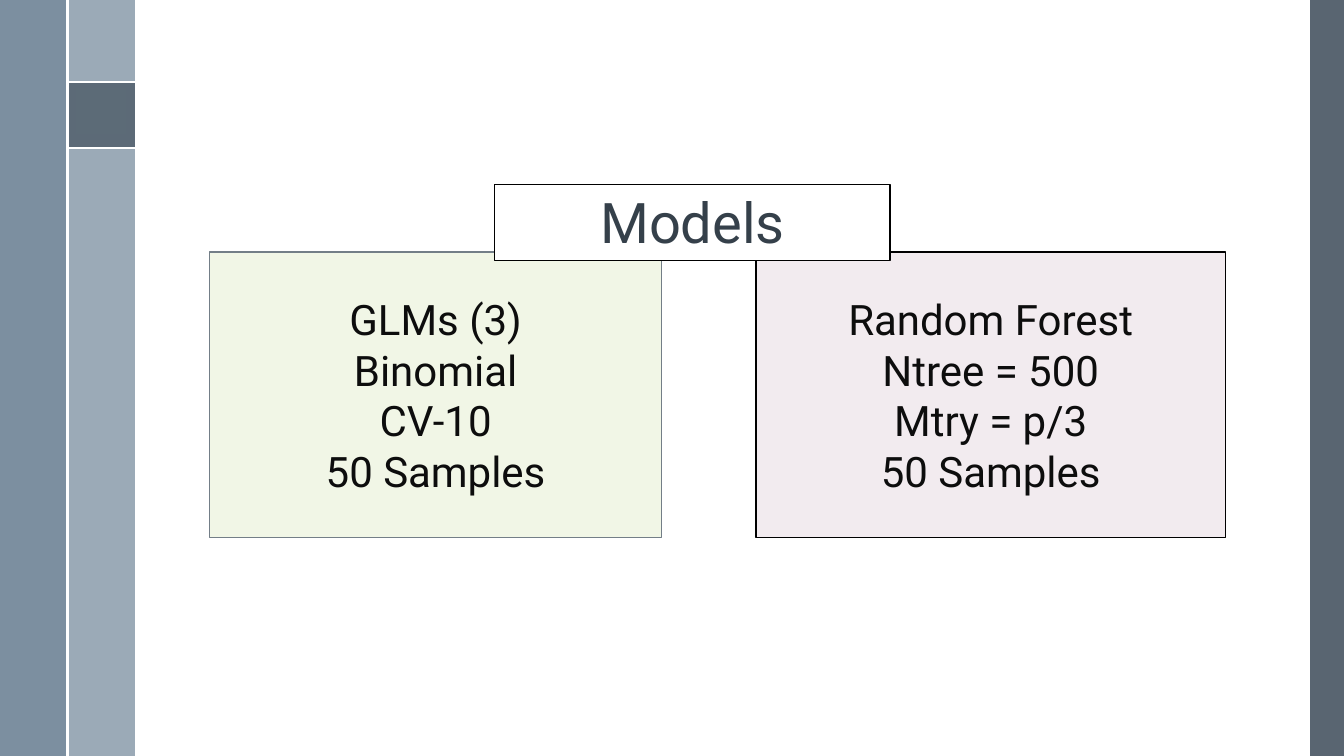
from dataclasses import dataclass

from lxml import etree
from pptx import Presentation
from pptx.dml.color import RGBColor
from pptx.enum.dml import MSO_FILL
from pptx.enum.shapes import MSO_CONNECTOR, MSO_SHAPE
from pptx.enum.text import MSO_ANCHOR, MSO_AUTO_SIZE, PP_ALIGN
from pptx.oxml.ns import qn
from pptx.util import Cm, Pt

RECTANGLE = MSO_SHAPE.RECTANGLE
STRAIGHT = MSO_CONNECTOR.STRAIGHT
SOLID = MSO_FILL.SOLID
MIDDLE, BOTTOM = MSO_ANCHOR.MIDDLE, MSO_ANCHOR.BOTTOM
CENTER = PP_ALIGN.CENTER
NO_AUTOFIT = MSO_AUTO_SIZE.NONE

WHITE = RGBColor(0xFF, 0xFF, 0xFF)
BLACK = RGBColor(0x00, 0x00, 0x00)
SLATE = RGBColor(0x47, 0x55, 0x62)
STEEL = RGBColor(0x6A, 0x80, 0x93)
MIST = RGBColor(0x9B, 0xAA, 0xB7)
MARKER_GRAY = RGBColor(0x5C, 0x6B, 0x77)
BORDER_GRAY = RGBColor(0x73, 0x7E, 0x87)
PALE_GREEN = RGBColor(0xF1, 0xF6, 0xE6)
PALE_PINK = RGBColor(0xF2, 0xEB, 0xEF)
BODY_INK = RGBColor(0x0D, 0x0D, 0x0D)
TITLE_INK = RGBColor(0x35, 0x40, 0x4A)

FONT = "Roboto"
PAGE_WIDTH, PAGE_HEIGHT = 33.87, 19.05
BAND = 1.7
MARKER_TOP, MARKER_BOTTOM = 2.06, 3.74
RIGHT_BAND_LEFT = 33.02
CARD_TOP, CARD_HEIGHT = 6.35, 7.19


@dataclass(frozen=True)
class Panel:
    left: float
    top: float
    width: float
    height: float
    color: RGBColor
    opacity: int = 100


@dataclass(frozen=True)
class Rule:
    start: tuple[float, float]
    end: tuple[float, float]


@dataclass(frozen=True)
class ModelCard:
    left: float
    width: float
    color: RGBColor
    border: RGBColor
    lines: tuple[str, ...]


PANELS = (
    Panel(RIGHT_BAND_LEFT, 0, PAGE_WIDTH - RIGHT_BAND_LEFT, PAGE_HEIGHT, SLATE, 90),
    Panel(BAND, 0, BAND, PAGE_HEIGHT, MIST),
    Panel(0, 0, BAND, PAGE_HEIGHT, STEEL, 88),
    Panel(BAND, MARKER_TOP, BAND, MARKER_BOTTOM - MARKER_TOP, SLATE, 75),
)
RULES = (
    Rule((BAND, MARKER_TOP), (2 * BAND, MARKER_TOP)),
    Rule((BAND, MARKER_BOTTOM), (2 * BAND, MARKER_BOTTOM)),
    Rule((BAND, 0), (BAND, PAGE_HEIGHT)),
)
MARKER_CENTER = Panel(1.91, 2.21, 1.27, 1.17, MARKER_GRAY)
CARDS = (
    ModelCard(5.28, 11.4, PALE_GREEN, BORDER_GRAY,
              ("GLMs (3)", "Binomial", "CV-10", "50 Samples")),
    ModelCard(19.05, 11.84, PALE_PINK, BLACK,
              ("Random Forest", "Ntree = 500", "Mtry = p/3", "50 Samples")),
)


def add_panel(page, panel: Panel):
    shape = page.shapes.add_shape(
        RECTANGLE, Cm(panel.left), Cm(panel.top), Cm(panel.width), Cm(panel.height))
    shape.shadow.inherit = False
    shape.fill.solid()
    shape.fill.fore_color.rgb = panel.color
    shape.line.fill.background()
    if panel.opacity < 100 and shape.fill.type == SOLID:
        color = shape.element.spPr.find(qn("a:solidFill")).find(qn("a:srgbClr"))
        etree.SubElement(color, qn("a:alpha"), val=str(panel.opacity * 1000))
    return shape


def add_rule(page, rule: Rule) -> None:
    start_x, start_y = rule.start
    end_x, end_y = rule.end
    line = page.shapes.add_connector(
        STRAIGHT, Cm(start_x), Cm(start_y), Cm(end_x), Cm(end_y))
    line.line.color.rgb = WHITE
    line.line.width = Pt(1.5)
    etree.SubElement(line.element.spPr, qn("a:effectLst"))


def set_border(shape, color: RGBColor, width: float) -> None:
    shape.line.color.rgb = color
    shape.line.width = Pt(width)


def add_span(para, text: str, size: int, color: RGBColor) -> None:
    para.alignment = CENTER
    span = para.add_run()
    span.text = text
    span.font.name = FONT
    span.font.size = Pt(size)
    span.font.color.rgb = color


def add_card(page, card: ModelCard) -> None:
    box = add_panel(page, Panel(card.left, CARD_TOP, card.width, CARD_HEIGHT, card.color))
    set_border(box, card.border, 1)
    frame = box.text_frame
    frame.word_wrap = True
    frame.vertical_anchor = MIDDLE
    for index, text in enumerate(card.lines):
        para = frame.add_paragraph() if index else frame.paragraphs[0]
        add_span(para, text, 30, BODY_INK)


def place_title(page) -> None:
    """Format the title and bring it in front of the cards."""
    title = page.shapes.title
    title.left, title.top = Cm(12.47), Cm(4.65)
    title.width, title.height = Cm(9.96), Cm(1.91)
    title.fill.solid()
    title.fill.fore_color.rgb = WHITE
    set_border(title, BLACK, 0.75)
    frame = title.text_frame
    frame.word_wrap = True
    frame.auto_size = NO_AUTOFIT
    frame.vertical_anchor = BOTTOM
    para = frame.paragraphs[0]
    para.line_spacing = 0.9
    add_span(para, "Models", 40, TITLE_INK)
    title.element.getparent().append(title.element)


def main() -> None:
    deck = Presentation()
    deck.slide_width, deck.slide_height = Cm(PAGE_WIDTH), Cm(PAGE_HEIGHT)
    page = deck.slides.add_slide(deck.slide_layouts.get_by_name("Title Only"))
    for panel in PANELS:
        add_panel(page, panel)
    for rule in RULES:
        add_rule(page, rule)
    add_panel(page, MARKER_CENTER)
    for card in CARDS:
        add_card(page, card)
    place_title(page)
    deck.save("out.pptx")


if __name__ == "__main__":
    main()
